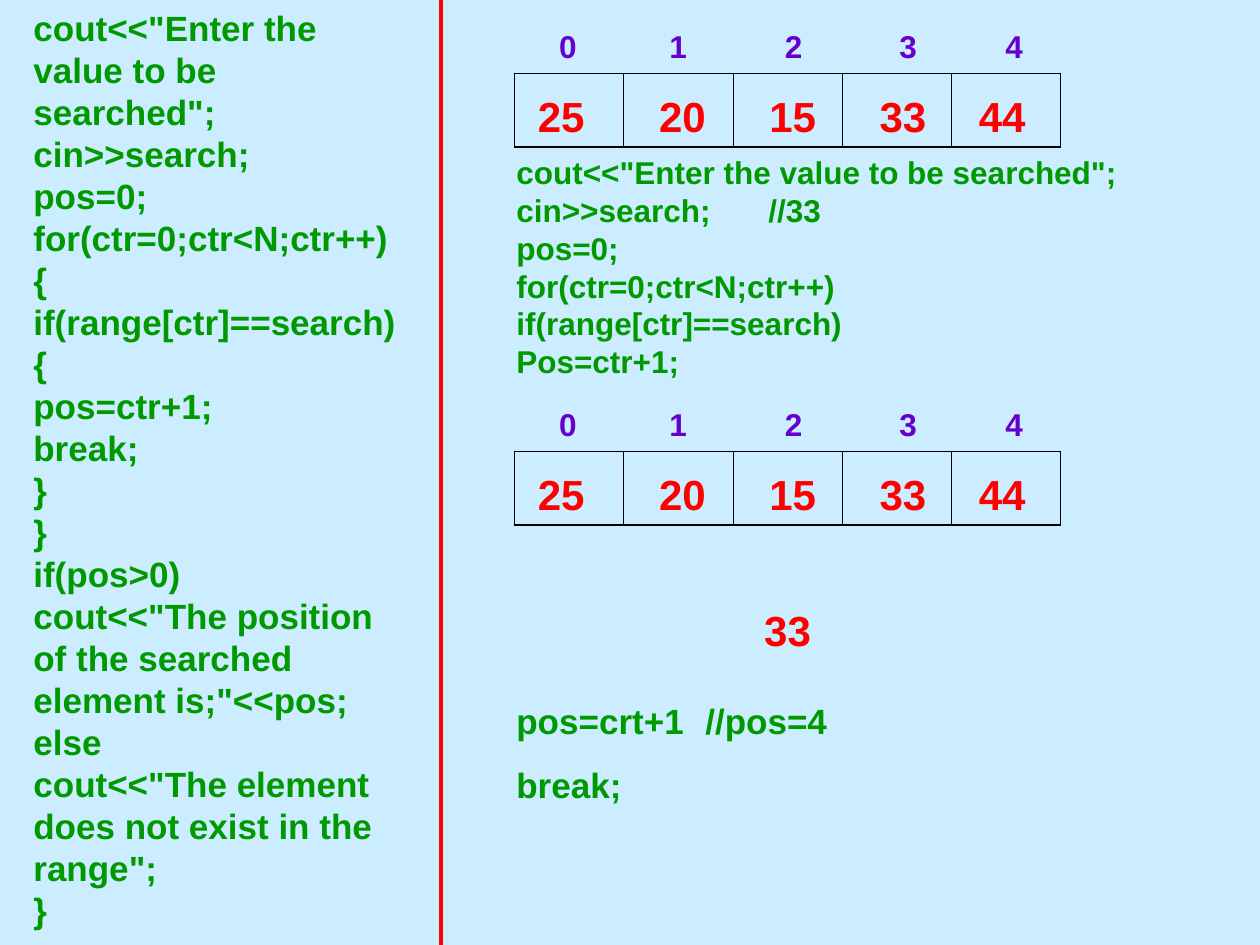
"""Build a slide that traces a linear search through an array."""
from dataclasses import dataclass

from lxml import etree
from pptx import Presentation
from pptx.dml.color import RGBColor
from pptx.enum.shapes import MSO_CONNECTOR
from pptx.enum.text import MSO_AUTO_SIZE, PP_ALIGN
from pptx.oxml.ns import qn
from pptx.slide import Slide
from pptx.util import Emu, Inches, Pt

STRAIGHT = MSO_CONNECTOR.STRAIGHT
GROW = MSO_AUTO_SIZE.SHAPE_TO_FIT_TEXT
LEFT, CENTER = PP_ALIGN.LEFT, PP_ALIGN.CENTER

WIDTH, HEIGHT = Inches(10), Inches(7.5)
COLUMNS, ROWS = 120, 90
FONT = "Arial"
COLORS = {
    "background": "CCECFF",
    "code": "009900",
    "index": "6600CC",
    "value": "FF0000",
    "divider": "FF0000",
    "border": "000000",
}
OUTER_BORDER, INNER_BORDER = 1.08, 0.45
BLANK_LAYOUT = 6

SEARCH_CODE = (
    'cout<<"Enter the value to be searched";',
    "cin>>search;",
    "pos=0;",
    "for(ctr=0;ctr<N;ctr++)",
    "{",
    "if(range[ctr]==search)",
    "{",
    "pos=ctr+1;",
    "break;",
    "}",
    "}",
    "if(pos>0)",
    'cout<<"The position of the searched element is;"<<pos;',
    "else",
    'cout<<"The element does not exist in the range";',
    "}",
)
TRACED_CODE = (
    'cout<<"Enter the value to be searched";',
    "cin>>search;\t//33",
    "pos=0;",
    "for(ctr=0;ctr<N;ctr++)",
    "if(range[ctr]==search)",
    "Pos=ctr+1;",
)
RESULT_CODE = ("pos=crt+1\t//pos=4", "break;")


@dataclass(frozen=True)
class Area:
    """A rectangle in grid columns and rows."""
    column: float
    row: float
    columns: float
    rows: float


@dataclass(frozen=True)
class Style:
    """The look of a text block."""
    size: float
    color: str
    align: PP_ALIGN = LEFT
    gap: float = 0


@dataclass(frozen=True)
class Element:
    """One array element: index and value labels with their spans."""
    index: str
    index_column: float
    index_columns: float
    value: str
    value_column: float
    value_columns: float


CODE = Style(20, "code")
TRACE = Style(18, "code")
RESULT = Style(20, "code", gap=12.5)
INDEX = Style(18, "index", CENTER)
VALUE = Style(24, "value", CENTER)

ELEMENTS = (
    Element("0 ", 49, 11, "25 ", 49, 10),
    Element("1 ", 60, 10, "20", 59, 12),
    Element("2 ", 71, 10, "15", 70, 11),
    Element("3", 81, 11, "33", 81, 10),
    Element("4 ", 92, 10, "44 ", 91, 10),
)


def across(columns: float) -> Emu:
    """Turn grid columns into a length."""
    return Emu(round(WIDTH * columns / COLUMNS))


def down(rows: float) -> Emu:
    """Turn grid rows into a length."""
    return Emu(round(HEIGHT * rows / ROWS))


def place(area: Area) -> tuple[Emu, Emu, Emu, Emu]:
    """Return left, top, width and height of an area."""
    return across(area.column), down(area.row), across(area.columns), down(area.rows)


def rgb(role: str) -> RGBColor:
    """Look up the colour of a role."""
    return RGBColor.from_string(COLORS[role])


def add_text(slide: Slide, area: Area, lines: tuple[str, ...], style: Style) -> None:
    """Write lines as paragraphs of one text block."""
    frame = slide.shapes.add_textbox(*place(area)).text_frame
    frame.word_wrap = True
    frame.auto_size = GROW
    for number, line in enumerate(lines):
        paragraph = frame.add_paragraph() if number else frame.paragraphs[0]
        paragraph.alignment = style.align
        if number and style.gap:
            paragraph.space_before = Pt(style.gap)
        run = paragraph.add_run()
        run.text = line
        run.font.name = FONT
        run.font.size = Pt(style.size)
        run.font.bold = True
        run.font.color.rgb = rgb(style.color)


def add_cells(slide: Slide, area: Area, count: int) -> None:
    """Draw a one-row table of empty bordered cells."""
    table = slide.shapes.add_table(1, count, *place(area)).table
    table.first_row = table.horz_banding = False
    for number in range(count):
        cell = table.cell(0, number)
        widths = {
            "a:lnL": INNER_BORDER if number else OUTER_BORDER,
            "a:lnR": INNER_BORDER if number < count - 1 else OUTER_BORDER,
            "a:lnT": OUTER_BORDER,
            "a:lnB": OUTER_BORDER,
        }
        properties = cell._tc.get_or_add_tcPr()
        for side, width in widths.items():
            border = etree.SubElement(properties, qn(side), w=str(Pt(width)))
            fill = etree.SubElement(border, qn("a:solidFill"))
            etree.SubElement(fill, qn("a:srgbClr"), val=COLORS["border"])
        cell.fill.background()


def add_array(slide: Slide, row: float) -> None:
    """Draw the array with indexes above and values inside its cells."""
    add_cells(slide, Area(49, row + 5, 52, 7), len(ELEMENTS))
    for element in ELEMENTS:
        index_area = Area(element.index_column, row, element.index_columns, 4.8)
        value_area = Area(element.value_column, row + 6, element.value_columns, 6)
        add_text(slide, index_area, (element.index,), INDEX)
        add_text(slide, value_area, (element.value,), VALUE)


def add_divider(slide: Slide, column: float) -> None:
    """Draw the full-height line between code and trace."""
    divider = slide.shapes.add_connector(STRAIGHT, across(column), 0, across(column), HEIGHT)
    divider.line.color.rgb = rgb("divider")
    divider.line.width = Pt(2.25)
    etree.SubElement(divider._element.spPr, qn("a:effectLst"))


def main() -> None:
    """Build and save the slide."""
    deck = Presentation()
    deck.slide_width, deck.slide_height = WIDTH, HEIGHT
    slide = deck.slides.add_slide(deck.slide_layouts[BLANK_LAYOUT])
    slide.background.fill.solid()
    slide.background.fill.fore_color.rgb = rgb("background")

    add_text(slide, Area(2, 0, 38, 89.3), SEARCH_CODE, CODE)
    add_divider(slide, 42)
    add_array(slide, 2)
    add_text(slide, Area(48, 14, 64, 22.8), TRACED_CODE, TRACE)
    add_array(slide, 38)
    add_text(slide, Area(70, 57, 10, 6), ("33",), VALUE)
    add_text(slide, Area(48, 66, 55, 11.3), RESULT_CODE, RESULT)
    deck.save("out.pptx")


if __name__ == "__main__":
    main()
